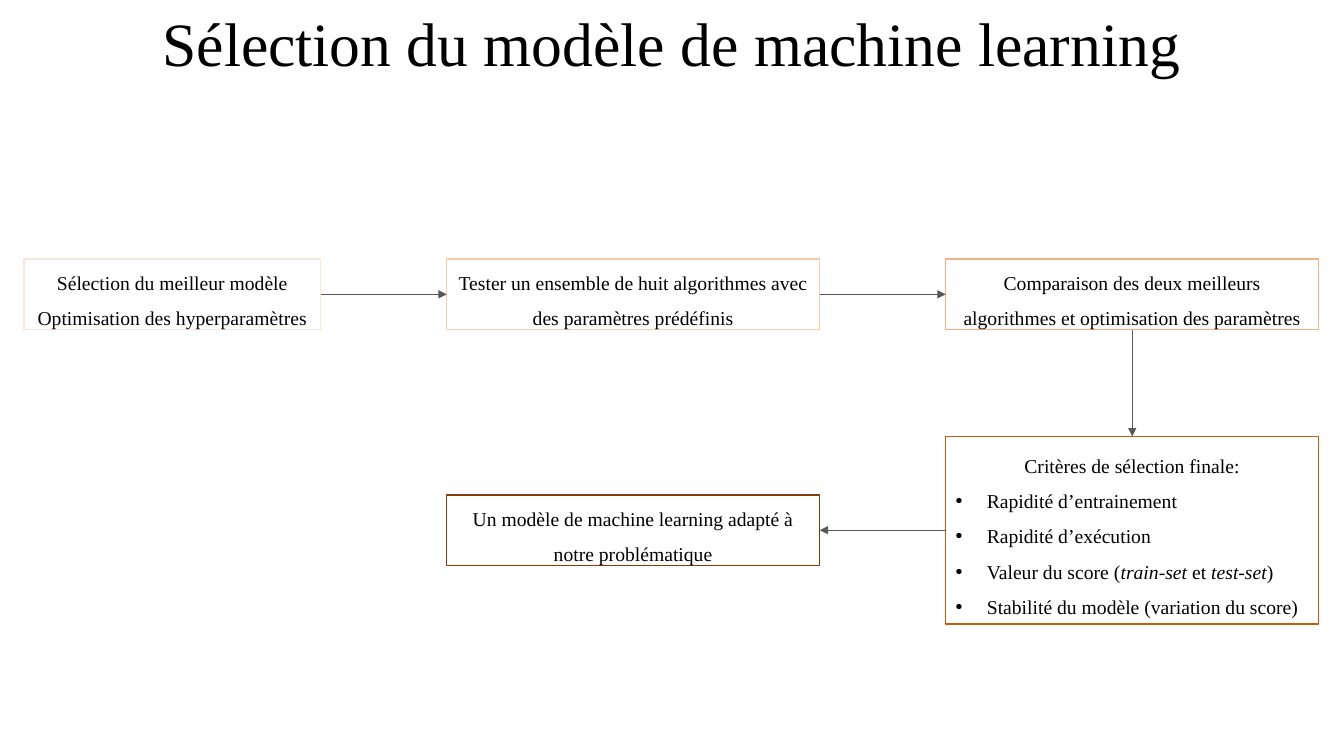
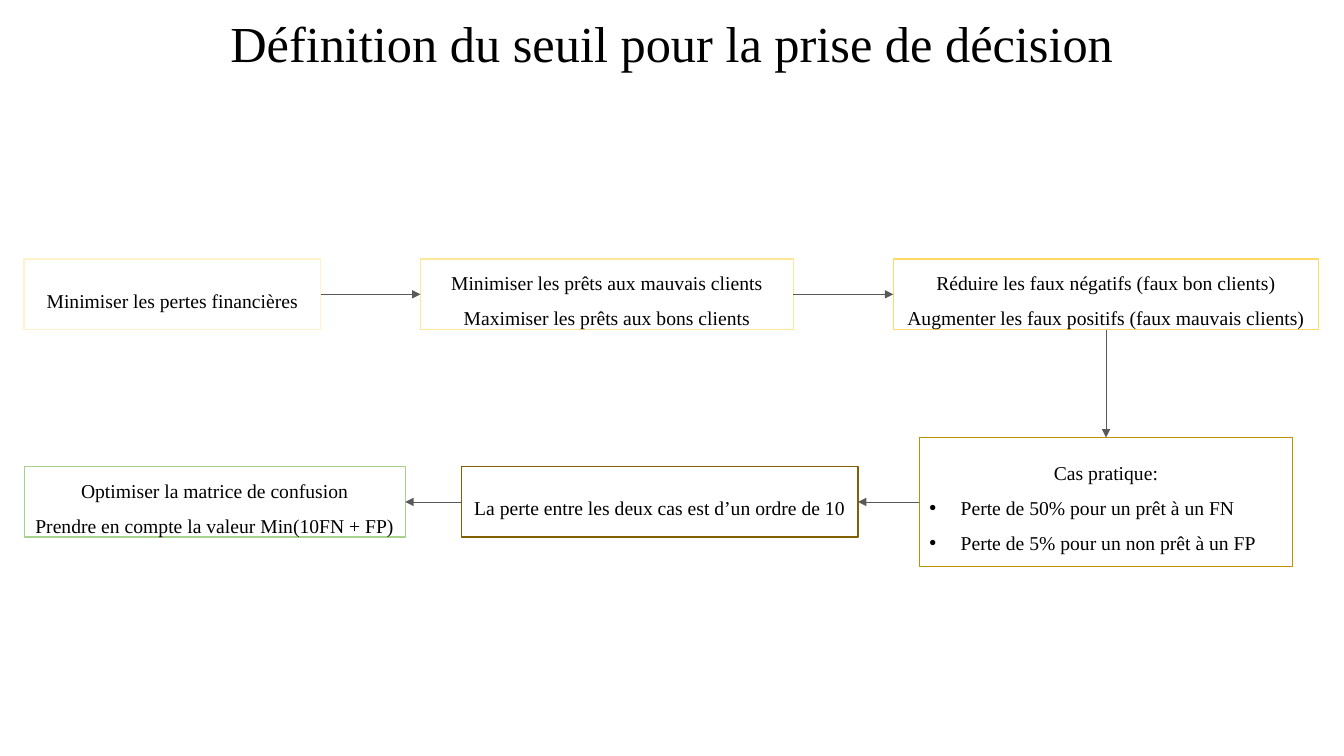
import dataclasses

import pptx
import pptx.dml.color
import pptx.enum.shapes
import pptx.enum.text
import pptx.oxml.ns
import pptx.util
from lxml import etree

Inches = pptx.util.Inches
Pt = pptx.util.Pt
qn = pptx.oxml.ns.qn
RGB = pptx.dml.color.RGBColor.from_string
ALIGN = pptx.enum.text.PP_ALIGN
MIDDLE = pptx.enum.text.MSO_ANCHOR.MIDDLE


@dataclasses.dataclass(frozen=True)
class Theme:
    font: str = "Times New Roman"
    ink: str = "000000"
    arrow: str = "595959"
    body: int = 14
    border: float = 1
    thin: float = 0.5


THEME = Theme()
WIDTH, HEIGHT = 13.33, 7.5
FRAME = {"word_wrap": True, "vertical_anchor": MIDDLE}
TITLE = {"alignment": ALIGN.CENTER, "line_spacing": 0.9}
CENTRE = {"alignment": ALIGN.CENTER, "line_spacing": 1.5}
ITEM = {"alignment": ALIGN.LEFT, "line_spacing": 1.5}
INDENT = Inches(0.31)
TOP, LOW = 2.92, 0.7  # middle of the upper row, height of a plain box


@dataclasses.dataclass(frozen=True)
class Step:
    """A box centred on the height mid; words between asterisks are italic."""
    left: float
    mid: float
    width: float
    colour: str
    lines: tuple
    items: tuple = ()
    height: float = LOW


SLIDES = (
    ("Sélection du modèle de machine learning", 44, (
        Step(0.24, TOP, 2.94, "FBE5D6",
             ("Sélection du meilleur modèle", "Optimisation des hyperparamètres")),
        Step(4.43, TOP, 3.7, "F8CBAD",
             ("Tester un ensemble de huit algorithmes avec des paramètres prédéfinis",)),
        Step(9.38, TOP, 3.7, "F4B183",
             ("Comparaison des deux meilleurs algorithmes et optimisation des paramètres",)),
        Step(9.38, 5.26, 3.7, "C55A11", ("Critères de sélection finale:",),
             ("Rapidité d’entrainement", "Rapidité d’exécution",
              "Valeur du score (*train-set* et *test-set*)",
              "Stabilité du modèle (variation du score)"), 1.86),
        Step(4.43, 5.26, 3.7, "843C0B",
             ("Un modèle de machine learning adapté à notre problématique",)),
    )),
    ("Définition du seuil pour la prise de décision", 36, (
        Step(0.24, TOP, 2.94, "FFF2CC", ("Minimiser les pertes financières",)),
        Step(4.17, TOP, 3.7, "FFE699",
             ("Minimiser les prêts aux mauvais clients",
              "Maximiser les prêts aux bons clients")),
        Step(8.86, TOP, 4.22, "FFD966",
             ("Réduire les faux négatifs (faux bon clients)",
              "Augmenter les faux positifs (faux mauvais clients)")),
        Step(9.12, 4.98, 3.7, "BF9000", ("Cas pratique:",),
             ("Perte de 50% pour un prêt à un FN",
              "Perte de 5% pour un non prêt à un FP"), 1.28),
        Step(4.58, 4.98, 3.93, "806000",
             ("La perte entre les deux cas est d’un ordre de 10",)),
        Step(0.24, 4.98, 3.78, "A9D18E",
             ("Optimiser la matrice de confusion",
              "Prendre en compte la valeur Min(10FN + FP)")),
    )),
)


def apply(target, values):
    for name, value in values.items():
        setattr(target, name, value)


def bullet(para):
    props = para._p.get_or_add_pPr()
    props.set("marL", str(INDENT))
    props.set("indent", str(-INDENT))
    etree.SubElement(props, qn("a:buFont"), typeface="Arial")
    etree.SubElement(props, qn("a:buChar"), char="•")


def write(para, text, size, style):
    apply(para, style)
    for index, part in enumerate(text.split("*")):
        run = para.add_run()
        run.text = part
        apply(run.font, {"name": THEME.font, "size": Pt(size), "italic": index % 2 == 1})
        run.font.color.rgb = RGB(THEME.ink)


def title(slide, text, size):
    box = slide.shapes.add_textbox(0, 0, Inches(WIDTH), Inches(0.92))
    apply(box.text_frame, FRAME)
    write(box.text_frame.paragraphs[0], text, size, TITLE)


def draw(slide, step):
    box = slide.shapes.add_shape(
        pptx.enum.shapes.MSO_SHAPE.RECTANGLE, Inches(step.left),
        Inches(step.mid - step.height / 2), Inches(step.width), Inches(step.height))
    box.shadow.inherit = False
    box.fill.background()
    box.line.color.rgb = RGB(step.colour)
    box.line.width = Pt(THEME.border)
    frame = box.text_frame
    apply(frame, FRAME)
    for index, text in enumerate(step.lines + step.items):
        para = frame.add_paragraph() if index else frame.paragraphs[0]
        listed = index >= len(step.lines)
        if listed:
            bullet(para)
        write(para, text, THEME.body, ITEM if listed else CENTRE)
    return box


def sides(start, end):
    """Connection sites for an arrow down, right or left."""
    if end.top > start.top + start.height:
        return 2, 0
    return (3, 1) if end.left > start.left else (1, 3)


def link(slide, start, end):
    line = slide.shapes.add_connector(pptx.enum.shapes.MSO_CONNECTOR.STRAIGHT, 0, 0, 0, 0)
    leave, enter = sides(start, end)
    line.begin_connect(start, leave)
    line.end_connect(end, enter)
    line.line.color.rgb = RGB(THEME.arrow)
    line.line.width = Pt(THEME.thin)
    etree.SubElement(line.line._get_or_add_ln(), qn("a:tailEnd"), type="triangle")
    etree.SubElement(line._element.spPr, qn("a:effectLst"))


def main():
    deck = pptx.Presentation()
    apply(deck, {"slide_width": Inches(WIDTH), "slide_height": Inches(HEIGHT)})
    for heading, size, steps in SLIDES:
        slide = deck.slides.add_slide(deck.slide_layouts[6])
        title(slide, heading, size)
        boxes = [draw(slide, step) for step in steps]
        for start, end in zip(boxes, boxes[1:]):
            link(slide, start, end)
    deck.save("out.pptx")


if __name__ == "__main__":
    main()
